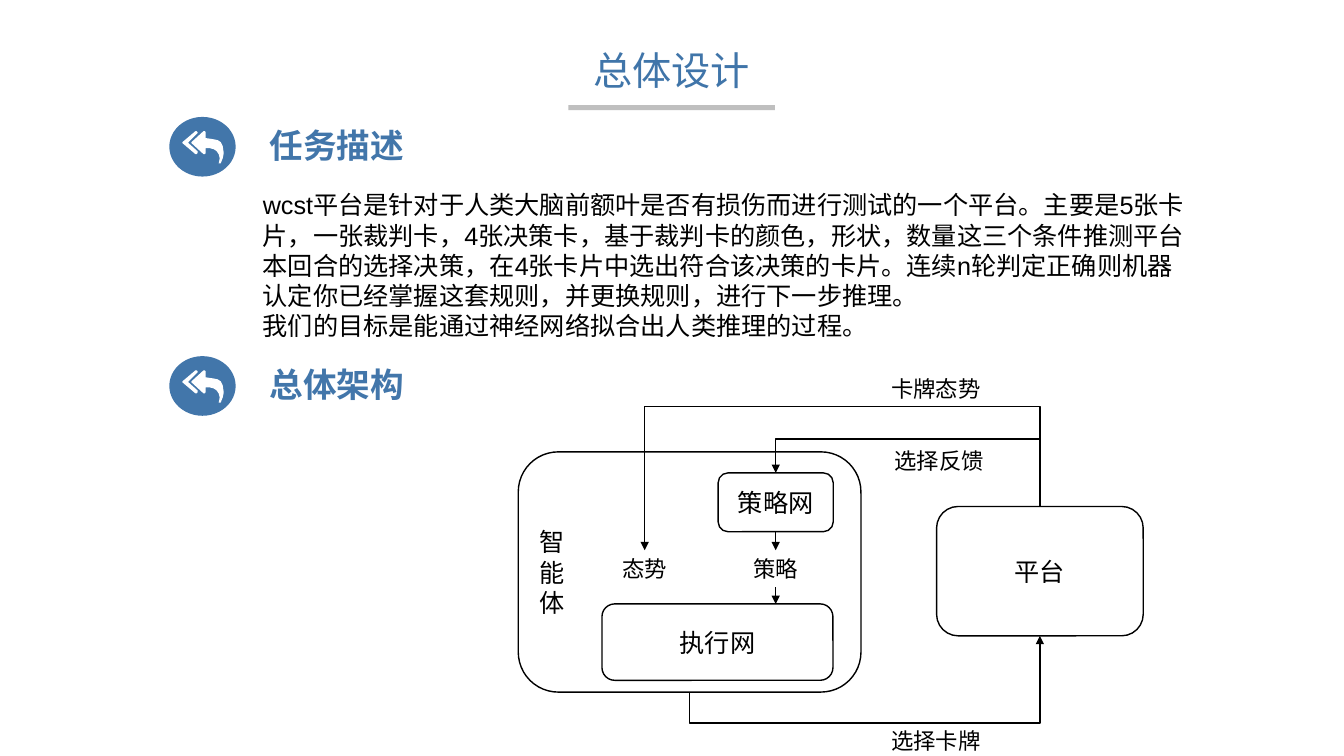
from dataclasses import dataclass

from lxml.etree import SubElement
from pptx import Presentation
from pptx.dml.color import RGBColor
from pptx.enum.shapes import MSO_CONNECTOR as Link, MSO_SHAPE as Shape
from pptx.enum.text import MSO_ANCHOR as Anchor, MSO_AUTO_SIZE as Fit, PP_ALIGN as Align
from pptx.oxml.ns import qn
from pptx.util import Inches, Pt

COLS, ROWS = 160, 90
UNIT = Inches(13.333) / COLS


@dataclass(frozen=True)
class Theme:
    font: str = "Arial"
    title_color: str = "4075A9"
    accent: str = "4276AA"
    rule: str = "BFBFBF"
    ink: str = "000000"
    paper: str = "FFFFFF"
    title: int = 28
    heading: int = 24
    body: int = 18
    label: int = 16
    line: int = 1


@dataclass(frozen=True)
class Box:
    x: float
    y: float
    w: float
    h: float

    def sub(self, x, y, w, h):
        return Box(self.x + x, self.y + y, w, h)

    @property
    def emu(self):
        return [round(v * UNIT) for v in (self.x, self.y, self.w, self.h)]

    @property
    def top(self):
        return self.x + self.w / 2, self.y

    @property
    def bottom(self):
        return self.x + self.w / 2, self.y + self.h


T = Theme()
CHEVRON = [(15, 22), (14, 23), (13, 23), (0, 12), (0, 11), (13, 0), (14, 0),
           (15, 1), (15, 2), (6, 11), (6, 12), (15, 20)]
ARROW = [(38, 32), (37, 32), (36, 32), (36.6, 27), (36, 23), (34, 20), (31, 18),
         (27, 17.2), (23, 17), (23, 22), (22, 23), (21, 23), (9, 12), (9, 11),
         (21, 0), (22, 0), (23, 1), (23, 7), (30, 7.6), (35, 9), (38, 11),
         (40.5, 15), (41, 22), (40, 27)]


def write(sp, text, size, color=T.ink, align=Align.LEFT, bold=None, spacing=None):
    tf = sp.text_frame
    tf.text = text
    for p in tf.paragraphs:
        p.alignment = align
        p.line_spacing = spacing
        for r in p.runs:
            r.font.name, r.font.size, r.font.bold = T.font, Pt(size), bold
            r.font.color.rgb = RGBColor.from_string(color)
    return tf


def add_text(s, box, text, size, **style):
    sp = s.shapes.add_textbox(*box.emu)
    tf = write(sp, text, size, **style)
    tf.word_wrap = True
    tf.auto_size = Fit.SHAPE_TO_FIT_TEXT
    return tf


def paint(sp, color):
    sp.shadow.inherit = False
    sp.fill.solid()
    sp.fill.fore_color.rgb = RGBColor.from_string(color)
    sp.line.fill.background()


def add_node(s, box, text, align=Align.CENTER):
    sp = s.shapes.add_shape(Shape.ROUNDED_RECTANGLE, *box.emu)
    sp.shadow.inherit = False
    sp.fill.background()
    sp.line.color.rgb = RGBColor.from_string(T.ink)
    sp.line.width = Pt(T.line)
    write(sp, text, T.body, align=align).vertical_anchor = Anchor.MIDDLE


def add_arrow(s, start, end, via_y=None):
    (x1, y1), (x2, y2) = start, end
    bent = via_y is not None
    ends = [x1, y1, x2, y2]
    if bent:
        w, h = abs(y2 - y1), abs(x2 - x1)
        left, top = (x1 + x2 - w) / 2, (y1 + y2 - h) / 2
        ends = [left, top, left + w, top + h]
    c = s.shapes.add_connector(Link.ELBOW if bent else Link.STRAIGHT,
                               *[round(v * UNIT) for v in ends])
    c.line.color.rgb = RGBColor.from_string(T.ink)
    c.line.width = Pt(T.line)
    pr = c._element.spPr
    SubElement(pr.find(qn("a:ln")), qn("a:tailEnd"), type="triangle")
    SubElement(pr, qn("a:effectLst"))
    if bent:
        xfrm = pr.find(qn("a:xfrm"))
        xfrm.set("rot", str((90 if x2 > x1 else 270) * 60000))
        xfrm.set("flipV", "1")
        if (x2 > x1) != (y2 > y1):
            xfrm.set("flipH", "1")
        share = round((via_y - y1) / (y2 - y1) * 100000)
        guides = pr.find(qn("a:prstGeom")).find(qn("a:avLst"))
        SubElement(guides, qn("a:gd"), name="adj1", fmla=f"val {share}")


def add_header(s, box, text):
    tf = add_text(s, box.sub(0, 0, box.w, 8.6), text, T.title, color=T.title_color,
                  align=Align.CENTER, spacing=1.5)
    tf.vertical_anchor = Anchor.MIDDLE
    rule_w = 24.6
    rule = box.sub((box.w - rule_w) / 2, 9.9, rule_w, 0.6)
    paint(s.shapes.add_shape(Shape.RECTANGLE, *rule.emu), T.rule)


def add_section(s, box, text):
    group = s.shapes.add_group_shape()
    badge = box.sub(0, 0, 7.9, box.h)
    paint(group.shapes.add_shape(Shape.OVAL, *badge.emu), T.accent)
    pen = group.shapes.build_freeform(*CHEVRON[0], scale=Inches(0.01))
    pen.add_line_segments(CHEVRON[1:])
    pen.move_to(*ARROW[0])
    pen.add_line_segments(ARROW[1:])
    paint(pen.convert_to_shape(*box.sub(1.56, 1.68, 0, 0).emu[:2]), T.paper)

    sp = s.shapes.add_textbox(*box.sub(10, 2.65, box.w - 10, 3.1).emu)
    tf = write(sp, text, T.heading, color=T.accent, bold=True)
    tf.word_wrap = False
    tf.vertical_anchor = Anchor.BOTTOM
    tf.margin_left = tf.margin_right = Inches(0.16)
    tf.margin_top = tf.margin_bottom = 0


def add_architecture(s, box):
    agent = box.sub(0, 9.7, 40.8, 28.6)
    platform = box.sub(49.8, 16.2, 24.6, 15.4)
    executor = box.sub(9.96, 27.8, 27.5, 9.1)
    strategy_net = box.sub(23.8, 12.2, 13.7, 7)
    state = box.sub(10, 21.4, 10.1, 4.4)
    strategy = box.sub(25.6, 21.4, 10.1, 4.4)

    add_node(s, agent, "智\n能\n体", Align.LEFT)
    for node, text in ((platform, "平台"), (executor, "执行网"), (strategy_net, "策略网")):
        add_node(s, node, text)

    labels = [(state, "态势"), (strategy, "策略")]
    labels += [(box.sub(x, y, 13.8, 4.4), text) for x, y, text in
               ((42.8, 0, "卡牌态势"), (43.2, 8.5, "选择反馈"), (42.8, 41.9, "选择卡牌"))]
    for place, text in labels:
        add_text(s, place, text, T.label, align=Align.CENTER)

    add_arrow(s, platform.top, strategy_net.top, box.y + 8.16)
    add_arrow(s, platform.top, state.top, box.y + 4.3)
    add_arrow(s, agent.bottom, platform.bottom, box.y + 42)
    add_arrow(s, strategy_net.bottom, strategy.top)
    add_arrow(s, strategy.bottom, (strategy.bottom[0], executor.y))


def main():
    prs = Presentation()
    prs.slide_width, prs.slide_height = round(COLS * UNIT), round(ROWS * UNIT)
    s = prs.slides.add_slide(prs.slide_layouts[6])
    add_header(s, Box(44.5, 2.6, 70.9, 10.5), "总体设计")
    add_section(s, Box(20.16, 13.92, 63, 7.1), "任务描述")
    add_text(s, Box(30.1, 22, 112.8, 23),
             "wcst平台是针对于人类大脑前额叶是否有损伤而进行测试的一个平台。主要是5张卡片，"
             "一张裁判卡，4张决策卡，基于裁判卡的颜色，形状，数量这三个条件推测平台本回合的选择决策，"
             "在4张卡片中选出符合该决策的卡片。连续n轮判定正确则机器认定你已经掌握这套规则，"
             "并更换规则，进行下一步推理。\n我们的目标是能通过神经网络拟合出人类推理的过程。", T.body)
    add_section(s, Box(20.16, 42.4, 63, 7.1), "总体架构")
    add_architecture(s, Box(61.7, 44.1, 74.4, 46.3))
    prs.save("out.pptx")


if __name__ == "__main__":
    main()
